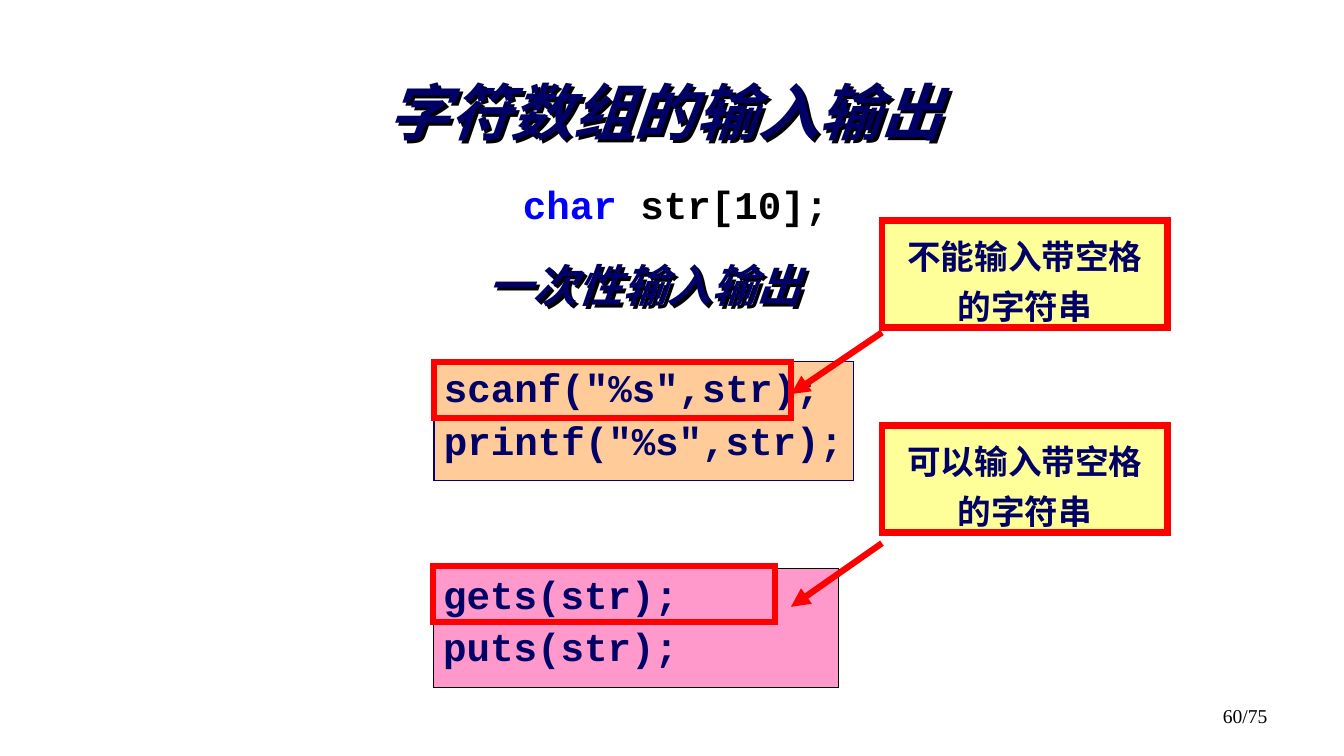
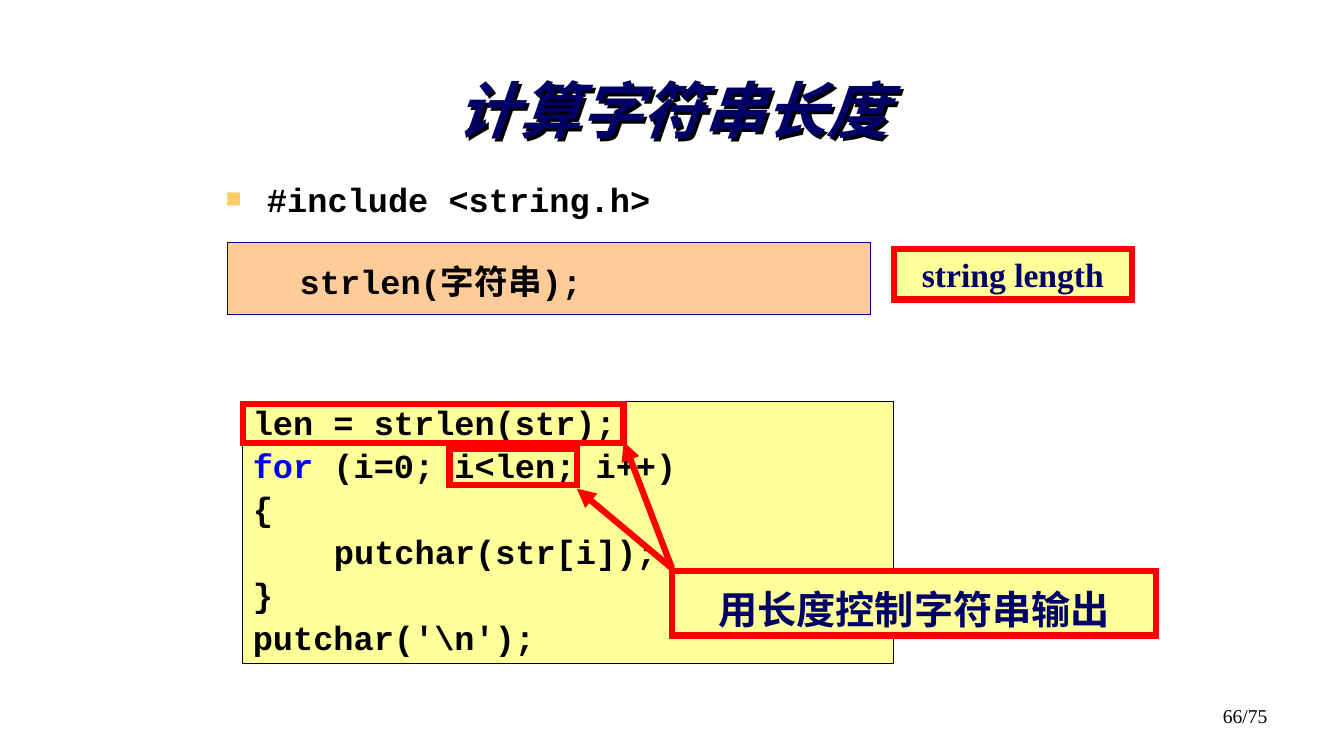
from lxml import etree
from pptx import Presentation
from pptx.dml.color import RGBColor
from pptx.enum.shapes import MSO_CONNECTOR, MSO_SHAPE
from pptx.enum.text import MSO_ANCHOR, MSO_AUTO_SIZE, PP_ALIGN
from pptx.oxml.ns import qn
from pptx.util import Pt

LEFT, CENTER, RIGHT = PP_ALIGN.LEFT, PP_ALIGN.CENTER, PP_ALIGN.RIGHT
TOP, MIDDLE = MSO_ANCHOR.TOP, MSO_ANCHOR.MIDDLE
NO_FIT = MSO_AUTO_SIZE.NONE
RECT, STRAIGHT = MSO_SHAPE.RECTANGLE, MSO_CONNECTOR.STRAIGHT

COLORS = {
    "navy": "000066",
    "edge": "000080",
    "black": "000000",
    "keyword": "0000FF",
    "red": "FF0000",
    "peach": "FFCC99",
    "pink": "FF99CC",
    "yellow": "FFFF99",
    "bullet": "FFCC66",
}
SERIF, MONO, CHINESE = "Times New Roman", "Courier New", "Noto Sans CJK SC"
FONTS = {
    "title": {"name": SERIF, "size": Pt(44), "bold": True, "italic": True},
    "subtitle": {"name": SERIF, "size": Pt(32), "bold": True, "italic": True},
    "code": {"name": MONO, "size": Pt(28), "bold": True},
    "small_code": {"name": MONO, "size": Pt(24), "bold": True},
    "note": {"name": SERIF, "size": Pt(24), "bold": True},
    "large_note": {"name": SERIF, "size": Pt(28), "bold": True},
    "page": {"name": SERIF, "size": Pt(14), "bold": False},
}


def rgb(color):
    """Return the named colour."""
    return RGBColor.from_string(COLORS[color])


def points(*values):
    """Convert numbers to lengths in points."""
    return [Pt(v) for v in values]


def add_run(p, text, font, color):
    """Add one formatted run."""
    r = p.add_run()
    r.text = text
    for name, value in FONTS[font].items():
        setattr(r.font, name, value)
    r.font.color.rgb = rgb(color)
    etree.SubElement(r._r.get_or_add_rPr(), qn("a:ea"), typeface=CHINESE)


def write(tf, lines, font, color, align=LEFT, anchor=TOP, spacing=1.0, gap=0, right=7.2):
    """Fill a frame with lines, each an indent and its runs."""
    frame = {
        "word_wrap": True,
        "auto_size": NO_FIT,
        "vertical_anchor": anchor,
        "margin_left": Pt(7.2),
        "margin_right": Pt(right),
        "margin_top": Pt(3.6),
        "margin_bottom": Pt(3.6),
    }
    for name, value in frame.items():
        setattr(tf, name, value)
    for i, (indent, *runs) in enumerate(lines):
        p = tf.add_paragraph() if i else tf.paragraphs[0]
        layout = {"alignment": align, "line_spacing": spacing, "space_before": Pt(gap)}
        for name, value in layout.items():
            setattr(p, name, value)
        pPr = p._p.get_or_add_pPr()
        pPr.set("marL", str(Pt(indent)))
        pPr.set("indent", "0")
        for text, run_color in runs:
            add_run(p, text, font, run_color or color)


def plain(*texts):
    """Make unindented lines in the default colour."""
    return [(0, (text, None)) for text in texts]


def text_box(s, box, lines, font, color, **options):
    """Add a text box."""
    sp = s.shapes.add_textbox(*points(*box))
    write(sp.text_frame, lines, font, color, **options)


def heading(sp, box, text, font):
    """Place a centred heading that casts a black shadow."""
    place(sp, box)
    sp.fill.background()
    effects = etree.SubElement(sp._element.spPr, qn("a:effectLst"))
    shadow = etree.SubElement(effects, qn("a:outerShdw"), dist="38100", dir="2700000")
    etree.SubElement(shadow, qn("a:srgbClr"), val=COLORS["black"])
    write(sp.text_frame, plain(text), font, "navy",
          align=CENTER, anchor=MIDDLE, spacing=0.85)


def rectangle(s, box, fill, line, width):
    """Add a flat rectangle with sharp corners, hollow when it has no fill."""
    sp = s.shapes.add_shape(RECT, *points(*box))
    if fill:
        sp.fill.solid()
        sp.fill.fore_color.rgb = rgb(fill)
    else:
        sp.fill.background()
    sp.line.color.rgb = rgb(line)
    sp.line.width = Pt(width)
    etree.SubElement(sp._element.spPr.find(qn("a:ln")), qn("a:miter"), lim="800000")
    sp.shadow.inherit = False
    return sp


def arrow(s, start, end):
    """Add a thick red arrow."""
    cxn = s.shapes.add_connector(STRAIGHT, *points(*start, *end))
    cxn.line.color.rgb = rgb("red")
    cxn.line.width = Pt(4.5)
    spPr = cxn._element.spPr
    etree.SubElement(spPr.find(qn("a:ln")), qn("a:tailEnd"), type="triangle")
    etree.SubElement(spPr, qn("a:effectLst"))


def code_panel(s, box, lines, fill, line, font, color, marks=(), **options):
    """Add a code panel and red frames placed from its corner."""
    sp = rectangle(s, box, fill, line, 0.75)
    write(sp.text_frame, lines, font, color, right=0, **options)
    for dx, dy, w, h in marks:
        rectangle(s, (box[0] + dx, box[1] + dy, w, h), None, "red", 4.5)


def callout(s, box, text, font="note", spacing=Pt(36), start=0, targets=()):
    """Add a note with arrows leaving its left edge."""
    x, y = box[:2]
    for dx, dy in targets:
        arrow(s, (x, y + start), (x + dx, y + dy))
    sp = rectangle(s, box, "yellow", "red", 4.5)
    write(sp.text_frame, plain(text), font, "navy", align=CENTER, spacing=spacing)


def place(sp, box):
    """Move a shape to a box."""
    sp.left, sp.top, sp.width, sp.height = points(*box)


def new_slide(prs, layout, title, box, page):
    """Add a slide with its title and page number."""
    s = prs.slides.add_slide(prs.slide_layouts[layout])
    heading(s.shapes.title, box, title, "title")
    text_box(s, (688.5, 499, 224, 37.5), plain(page), "page", "black", align=RIGHT)
    return s


def include_list(s, box, text):
    """Fill the body with one square-bulleted line."""
    sp = s.placeholders[1]
    place(sp, box)
    write(sp.text_frame, plain(text), "small_code", "black", spacing=1.05, gap=5)
    pPr = sp.text_frame.paragraphs[0]._p.get_or_add_pPr()
    pPr.set("marL", str(Pt(29.5)))
    pPr.set("indent", str(Pt(-29.5)))
    color = etree.SubElement(pPr, qn("a:buClr"))
    etree.SubElement(color, qn("a:srgbClr"), val=COLORS["bullet"])
    etree.SubElement(pPr, qn("a:buSzPct"), val="80000")
    etree.SubElement(pPr, qn("a:buChar"), char="■")


def io_slide(prs):
    """Build the slide on reading and printing strings."""
    s = new_slide(prs, 5, "字符数组的输入输出", (168, 50.5, 614, 66), "60/75")
    box = (304.5, 173.5, 312, 66)
    heading(s.shapes.add_textbox(*points(*box)), box, "一次性输入输出", "subtitle")
    text_box(s, (366.5, 128, 238, 51), [(0, ("char ", "keyword"), ("str[10];", None))],
             "code", "black", spacing=0.95, gap=5.6)
    code_panel(s, (310, 258.5, 300, 85), plain('scanf("%s",str);', 'printf("%s",str);'),
               "peach", "edge", "code", "navy", [(0, 0, 255, 40)], spacing=0.95, gap=5.6)
    code_panel(s, (309.5, 406, 289.5, 85), plain("gets(str);", "puts(str);"),
               "pink", "black", "code", "navy", [(0, -1.5, 244, 40)], spacing=0.95, gap=5.6)
    callout(s, (630, 157.5, 204, 76.5), "不能输入带空格的字符串", start=80, targets=[(-65, 124)])
    callout(s, (630, 304, 204, 76.5), "可以输入带空格的字符串", start=84, targets=[(-65, 129.5)])


def length_slide(prs):
    """Build the slide on the length of a string."""
    s = new_slide(prs, 1, "计算字符串长度", (71, 49, 819, 66), "66/75")
    include_list(s, (154, 122.5, 666, 45), "#include <string.h>")
    code_panel(s, (162.5, 173.5, 459.5, 51), [(44.5, ("strlen(字符串);", None))],
               "peach", "edge", "small_code", "black", spacing=Pt(38))
    callout(s, (638.5, 178, 170, 36), "string length", spacing=1.0)
    loop = [
        *plain("len = strlen(str);"),
        (0, ("for", "keyword"), (" (i=0; i<len; i++)", None)),
        *plain("{"),
        (58, ("putchar(str[i]);", None)),
        *plain("}", "putchar('\\n');"),
    ]
    code_panel(s, (173.5, 287, 465, 187), loop, "yellow", "black", "small_code", "black",
               [(147.5, 33.5, 91, 26), (0, 1.5, 272, 28)], spacing=0.9, gap=4.8)
    callout(s, (480, 408, 346, 46), "用长度控制字符串输出", "large_note", Pt(40), start=-2,
            targets=[(-68, -59), (-34.5, -92.5)])


def main():
    """Build and save the presentation."""
    prs = Presentation()
    prs.slide_width, prs.slide_height = points(960, 540)
    io_slide(prs)
    length_slide(prs)
    prs.save("out.pptx")


if __name__ == "__main__":
    main()
